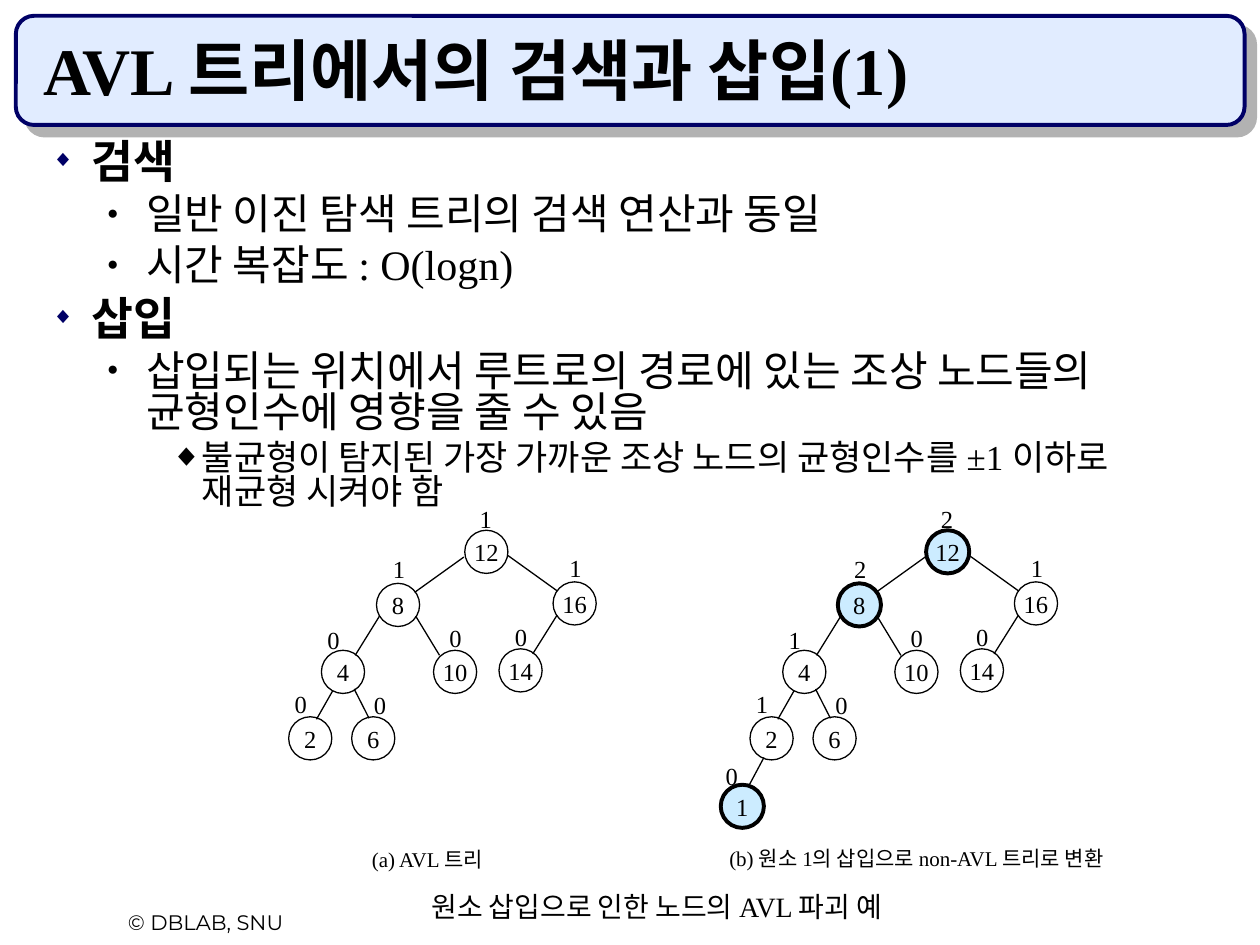
from lxml.etree import SubElement
from pptx import Presentation
from pptx.dml.color import RGBColor
from pptx.enum.shapes import MSO_CONNECTOR, MSO_SHAPE
from pptx.enum.text import MSO_ANCHOR, PP_ALIGN
from pptx.oxml.ns import qn
from pptx.util import Cm, Pt

BLACK = RGBColor(0x00, 0x00, 0x00)
NAVY = RGBColor(0x00, 0x00, 0x66)
PALE_BLUE = RGBColor(0xE1, 0xEC, 0xFF)
SKY = RGBColor(0xCC, 0xEC, 0xFF)
SHADOW_GREY = RGBColor(0xB2, 0xB2, 0xB2)
SERIF = "Times New Roman"
NODE_SIZE = 0.87


def add_span(paragraph, text, size, bold=False, name=SERIF):
    span = paragraph.add_run()
    span.text = text
    span.font.size = Pt(size)
    span.font.bold = bold
    span.font.name = name
    span.font.color.rgb = BLACK


def add_label(text, left, top, width, height, size, align=PP_ALIGN.LEFT,
              wrap=True, anchor=MSO_ANCHOR.TOP, bold=False, name=SERIF):
    """Add a one-paragraph text box; lengths are in centimetres."""
    box = page.shapes.add_textbox(Cm(left), Cm(top), Cm(width), Cm(height))
    box.text_frame.word_wrap = wrap
    box.text_frame.vertical_anchor = anchor
    paragraph = box.text_frame.paragraphs[0]
    paragraph.alignment = align
    add_span(paragraph, text, size, bold, name)


deck = Presentation()
deck.slide_width, deck.slide_height = Cm(25.4), Cm(19.05)
page = deck.slides.add_slide(deck.slide_layouts[6])

# Title banner with its offset shadow
banner = page.shapes.add_shape(MSO_SHAPE.ROUNDED_RECTANGLE,
                               Cm(0.32), Cm(0.32), Cm(24.77), Cm(2.2))
banner.shadow.inherit = False
banner.fill.solid()
banner.fill.fore_color.rgb = PALE_BLUE
banner.line.color.rgb = NAVY
banner.line.width = Pt(2.25)
effects = banner._element.spPr.find(qn("a:effectLst"))
shadow = SubElement(effects, qn("a:outerShdw"), dist=str(Pt(8.5)),
                    dir="2700000", algn="ctr", rotWithShape="0")
SubElement(shadow, qn("a:srgbClr"), val=str(SHADOW_GREY))

add_label("AVL 트리에서의 검색과 삽입(1)", 0.62, 0.62, 23.92, 1.69, 38,
          anchor=MSO_ANCHOR.BOTTOM, bold=True)

# Bulleted text: size, bold, space before, margin, hanging, bullet, colour, percent
LEVELS = [
    (26, True, 6.5, 0.95, 0.8, "◆", NAVY, 50),
    (24, False, 6, 2.06, 0.79, "●", BLACK, 45),
    (20, False, 5, 3.18, 0.63, "◆", BLACK, 90),
]
POINTS = [
    (0, "검색"),
    (1, "일반 이진 탐색 트리의 검색 연산과 동일"),
    (1, "시간 복잡도 : O(logn)"),
    (0, "삽입"),
    (1, "삽입되는 위치에서 루트로의 경로에 있는 조상 노드들의 균형인수에 영향을 줄 수 있음"),
    (2, "불균형이 탐지된 가장 가까운 조상 노드의 균형인수를 ±1 이하로 재균형 시켜야 함"),
]
body = page.shapes.add_textbox(Cm(0.64), Cm(2.77), Cm(23.92), Cm(14.82))
body.text_frame.word_wrap = True
for index, (level, text) in enumerate(POINTS):
    size, bold, before, margin, hanging, bullet, color, percent = LEVELS[level]
    paragraph = body.text_frame.paragraphs[0] if index == 0 else body.text_frame.add_paragraph()
    paragraph.level = level
    properties = paragraph._p.get_or_add_pPr()
    properties.set("marL", str(Cm(margin)))
    properties.set("indent", str(-Cm(hanging)))
    SubElement(SubElement(properties, qn("a:buClr")), qn("a:srgbClr"), val=str(color))
    SubElement(properties, qn("a:buSzPct"), val=str(percent * 1000))
    SubElement(properties, qn("a:buFont"), typeface=SERIF)
    SubElement(properties, qn("a:buChar"), char=bullet)
    paragraph.line_spacing = 0.8
    if index > 0:
        paragraph.space_before = Pt(before)
    add_span(paragraph, text, size, bold)

# Both trees share one layout: key -> node left, top, balance left, top
NODES = {
    12: (9.37, 10.69, 9.42, 10.03),
    8: (7.59, 11.76, 7.67, 11.05),
    16: (11.15, 11.73, 11.23, 11.02),
    4: (6.48, 13.11, 6.35, 12.47),
    10: (8.74, 13.11, 8.81, 12.43),
    14: (10.06, 13.08, 10.13, 12.42),
    2: (5.82, 14.45, 5.69, 13.77),
    6: (7.09, 14.45, 7.29, 13.79),
    1: (5.23, 15.82, 5.08, 15.21),
}
# Child key -> line from its parent
EDGES = {
    8: (9.35, 11.23, 8.36, 11.94),
    16: (10.24, 11.2, 11.23, 11.91),
    4: (7.65, 12.42, 7.16, 13.21),
    10: (8.38, 12.42, 8.86, 13.21),
    14: (11.23, 12.4, 10.74, 13.18),
    2: (6.71, 13.92, 6.38, 14.5),
    6: (7.14, 13.89, 7.44, 14.48),
    1: (6.1, 15.27, 5.79, 15.85),
}
# Shift to the right, balance factors by key, highlighted keys
TREES = [
    (0, {12: 1, 8: 1, 16: 1, 4: 0, 10: 0, 14: 0, 2: 0, 6: 0}, ()),
    (9.3, {12: 2, 8: 2, 16: 1, 4: 1, 10: 0, 14: 0, 2: 1, 6: 0, 1: 0}, (12, 8, 1)),
]
for shift, balances, highlighted in TREES:
    for key, balance in balances.items():
        left, top, balance_left, balance_top = NODES[key]
        node = page.shapes.add_shape(MSO_SHAPE.OVAL, Cm(left + shift), Cm(top),
                                     Cm(NODE_SIZE), Cm(NODE_SIZE))
        node.shadow.inherit = False
        node.line.color.rgb = BLACK
        if key in highlighted:
            node.fill.solid()
            node.fill.fore_color.rgb = SKY
            node.line.width = Pt(2.25)
        else:
            node.fill.background()
            node.line.width = Pt(0.75)
        node.text_frame.word_wrap = False
        node.text_frame.vertical_anchor = MSO_ANCHOR.MIDDLE
        paragraph = node.text_frame.paragraphs[0]
        paragraph.alignment = PP_ALIGN.CENTER
        add_span(paragraph, str(key), 14)

        if key in EDGES:
            start_x, start_y, end_x, end_y = EDGES[key]
            edge = page.shapes.add_connector(MSO_CONNECTOR.STRAIGHT,
                                             Cm(start_x + shift), Cm(start_y),
                                             Cm(end_x + shift), Cm(end_y))
            edge.line.color.rgb = BLACK
            edge.line.width = Pt(0.75)
            SubElement(edge._element.spPr, qn("a:effectLst"))

        add_label(str(balance), balance_left + shift, balance_top, 0.7, 0.86, 14)

# Captions and footer
CAPTIONS = [
    ("(a) AVL 트리", 7.14, 16.94, 2.95, 0.76, 12),
    ("(b) 원소 1의 삽입으로 non-AVL 트리로 변환", 14.12, 16.92, 8.71, 0.76, 12),
    ("원소 삽입으로 인한 노드의 AVL 파괴 예", 8.26, 17.81, 9.96, 0.94, 16),
]
for caption in CAPTIONS:
    add_label(*caption, align=PP_ALIGN.CENTER, wrap=False)
add_label("© DBLAB, SNU", 1.07, 18.21, 6.15, 0.76, 12,
          align=PP_ALIGN.CENTER, name="Montserrat")

deck.save("out.pptx")
